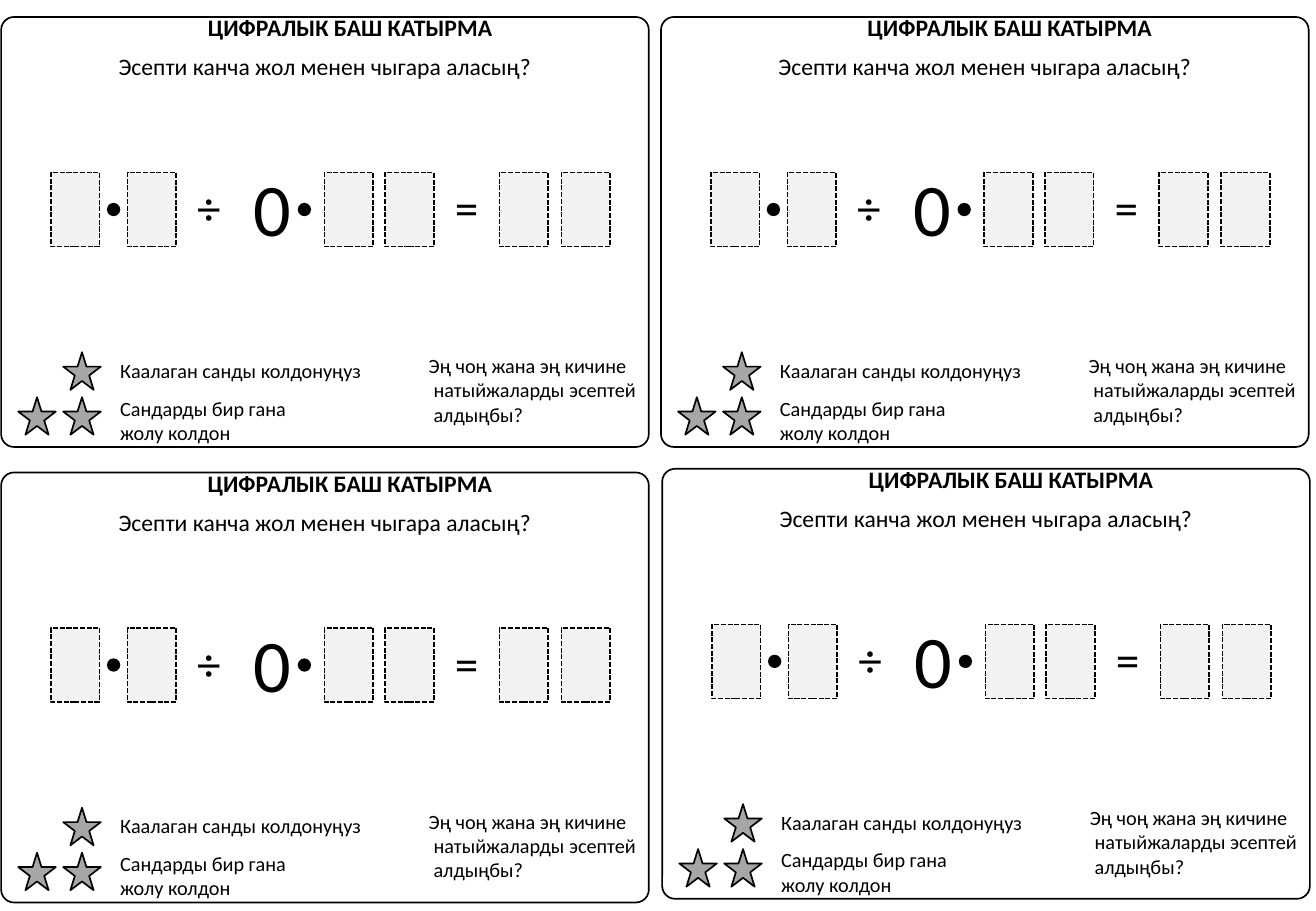
from dataclasses import dataclass
from pptx import Presentation
from pptx.dml.color import RGBColor
from pptx.enum.dml import MSO_LINE
from pptx.enum.shapes import MSO_SHAPE
from pptx.enum.text import MSO_ANCHOR, MSO_AUTO_SIZE, PP_ALIGN
from pptx.util import Inches, Pt


@dataclass(frozen=True)
class Theme:
    font: str = "Calibri"
    ink: str = "000000"
    star: str = "A6A6A6"
    digit: str = "F2F2F2"
    line: float = 1
    heading: int = 14
    note: int = 12
    sign: int = 28
    zero: int = 44


@dataclass(frozen=True)
class Box:
    left: float
    top: float
    width: float
    height: float

    def inside(self, left, top, width, height):
        return Box(self.left + left, self.top + top, width, height)

    def lengths(self):
        return [round(cells * CELL) for cells in (self.left, self.top, self.width, self.height)]


THEME = Theme()
CELL = Inches(0.1)
COLUMNS, ROWS = 108.3, 75
CARD_WIDTH, CARD_HEIGHT = 53.3, 35.4
CARD_CORNERS = [(0.1, 1.4), (54.4, 1.4), (0.1, 38.9), (54.5, 38.6)]


def place(shape, box):
    shape.left, shape.top, shape.width, shape.height = box.lengths()


def write(frame, text, size=THEME.note, bold=False, align=PP_ALIGN.LEFT, inset=0.05, indent=0):
    frame.word_wrap = False
    frame.auto_size = MSO_AUTO_SIZE.SHAPE_TO_FIT_TEXT
    frame.vertical_anchor = MSO_ANCHOR.TOP
    frame.margin_left = frame.margin_right = Inches(0.1)
    frame.margin_top = frame.margin_bottom = Inches(inset)
    for index, line in enumerate(text.split("\n")):
        para = frame.add_paragraph() if index else frame.paragraphs[0]
        para.alignment = align
        if index and indent:
            properties = para._p.get_or_add_pPr()
            properties.set("marL", str(Inches(indent)))
            properties.set("indent", "0")
        span = para.add_run()
        span.text = line
        span.font.name = THEME.font
        span.font.size = Pt(size)
        span.font.bold = bold
        span.font.color.rgb = RGBColor.from_string(THEME.ink)


def add_text(page, box, text, **style):
    write(page.shapes.add_textbox(*box.lengths()).text_frame, text, **style)


def draw(page, kind, box, fill=None, outlined=True, dash=None):
    shape = page.shapes.add_shape(kind, *box.lengths())
    shape.shadow.inherit = False
    if fill:
        shape.fill.solid()
        shape.fill.fore_color.rgb = RGBColor.from_string(fill)
    else:
        shape.fill.background()
    if outlined:
        shape.line.color.rgb = RGBColor.from_string(THEME.ink)
        shape.line.width = Pt(THEME.line)
        if dash:
            shape.line.dash_style = dash
    else:
        shape.line.fill.background()
    return shape


def add_equation(page, box):
    for left in (4.1, 10.4, 26.6, 31.6, 41, 46.1):
        draw(page, MSO_SHAPE.RECTANGLE, box.inside(left, 0, 4, box.height),
             fill=THEME.digit, dash=MSO_LINE.SQUARE_DOT)
    for left in (8.7, 24.4):
        draw(page, MSO_SHAPE.OVAL, box.inside(left, 2.5, 1.1, 1.1), fill=THEME.ink, outlined=False)
    for left, sign in ((15.1, "÷"), (36.3, "=")):
        add_text(page, box.inside(left, 0, 4, 5.7), sign, size=THEME.sign, align=PP_ALIGN.CENTER)
    add_text(page, box.inside(19.8, -1.3, 5.1, 8.4), "0", size=THEME.zero)


def add_levels(page, box):
    for left, top in ((5.1, 0), (5.1, 3.7), (1.4, 3.7)):
        draw(page, MSO_SHAPE.STAR_5_POINT, box.inside(left, top, 3.1, 3.1), fill=THEME.star)
    add_text(page, box.inside(8.8, 0, 22.1, 3), "Каалаган санды колдонуңуз")
    add_text(page, box.inside(8.8, 3.1, 16.2, 5), "Сандарды бир гана\nжолу колдон")
    add_text(page, box.inside(34.2, -0.4, 19.3, 11.1),
             "Эң чоң жана эң кичине\nнатыйжаларды эсептей\nалдыңбы?", indent=0.04)


def add_card(page, box, heading):
    frame = draw(page, MSO_SHAPE.ROUNDED_RECTANGLE, box)
    frame.adjustments[0] = 0.03
    place(heading, box.inside(16, -0.3, 25.6, 2.4))
    write(heading.text_frame, "ЦИФРАЛЫК БАШ КАТЫРМА", size=THEME.heading, bold=True, inset=0)
    add_text(page, box.inside(8.5, 2.4, 36.3, 3.4), "Эсепти канча жол менен чыгара аласың?",
             size=THEME.heading, align=PP_ALIGN.CENTER)
    add_equation(page, box.inside(0, 12.8, box.width, 6.1))
    add_levels(page, box.inside(0, 27.6, box.width, 7.8))


def main():
    deck = Presentation()
    deck.slide_width, deck.slide_height = round(COLUMNS * CELL), ROWS * CELL
    page = deck.slides.add_slide(deck.slide_layouts[5])
    for index, (left, top) in enumerate(CARD_CORNERS):
        heading = page.shapes.add_textbox(0, 0, CELL, CELL) if index else page.shapes.title
        add_card(page, Box(left, top, CARD_WIDTH, CARD_HEIGHT), heading)
    deck.save("out.pptx")


if __name__ == "__main__":
    main()
